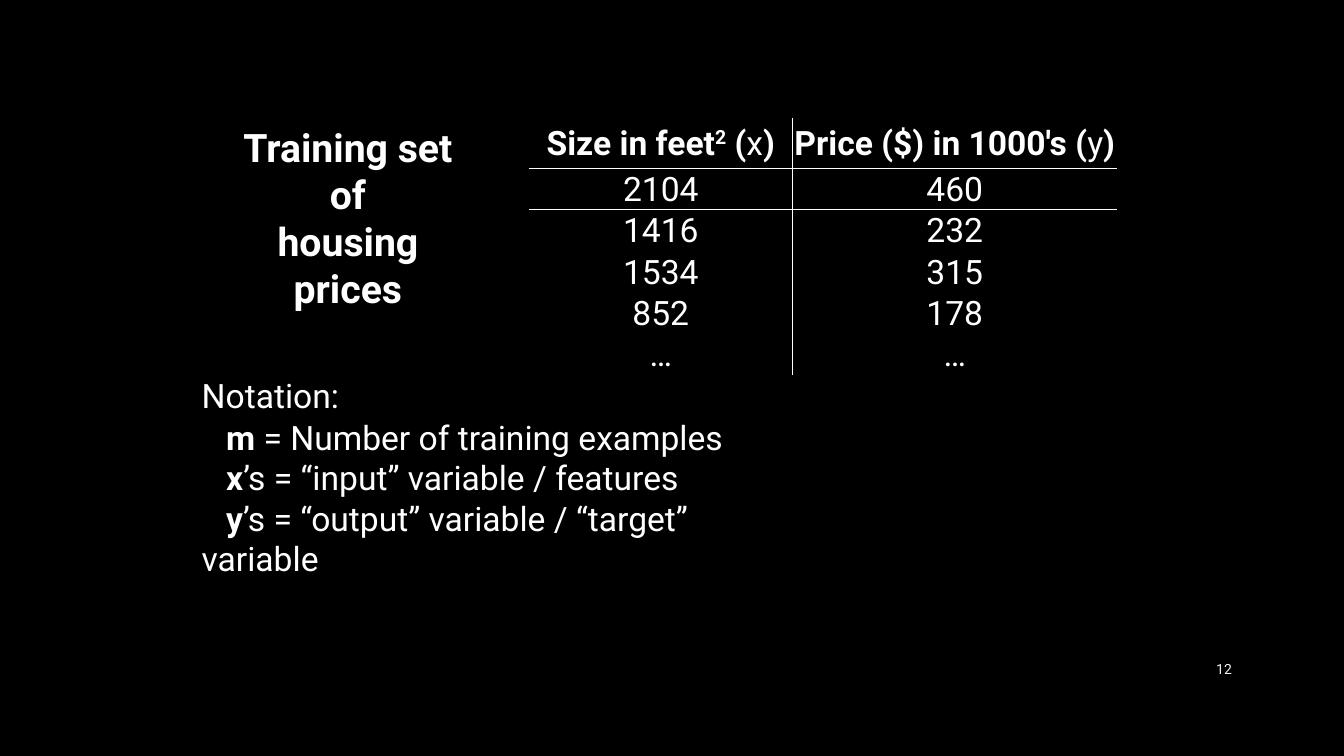
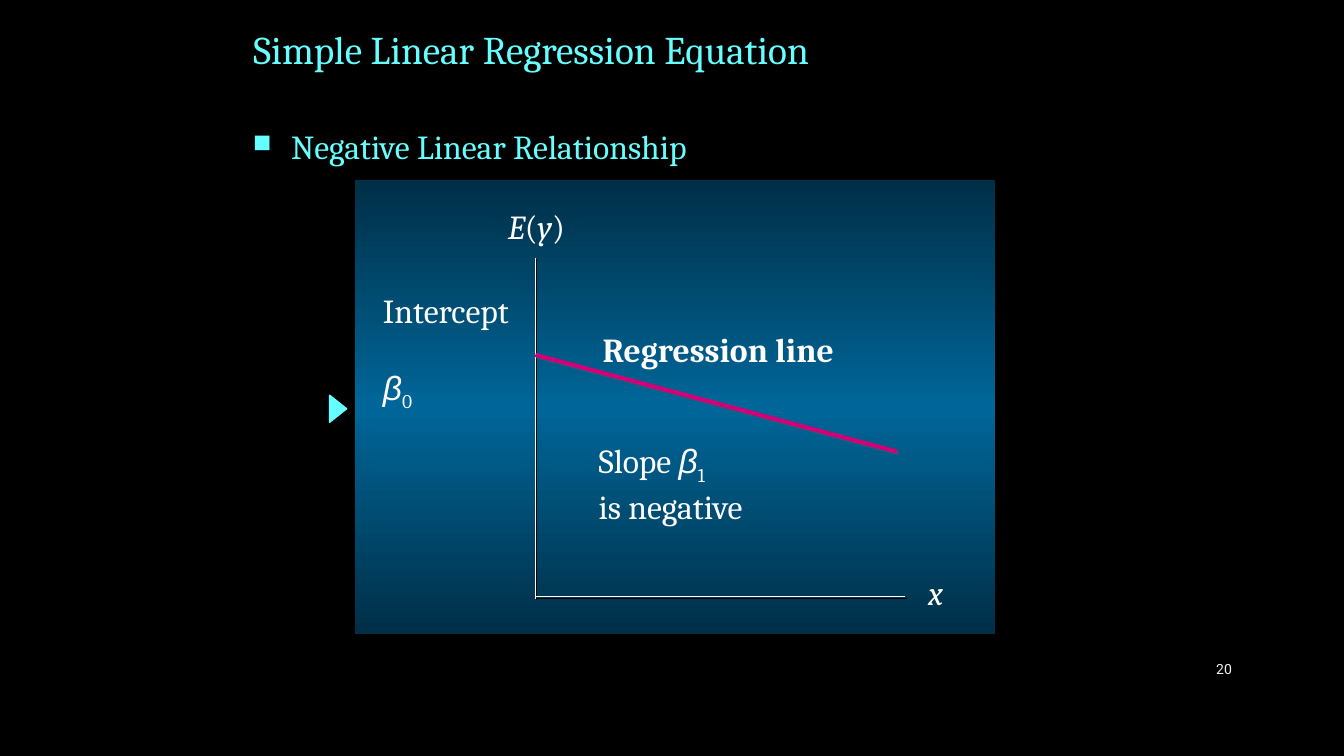
from copy import deepcopy

from lxml import etree
from pptx import Presentation
from pptx import util as u
from pptx.dml import color
from pptx.enum import shapes, text
from pptx.oxml import ns

Pt = u.Pt
WHITE, BLACK, CYAN, PALE = "FFFFFF", "000000", "66FFFF", "F2F2F2"
MAGENTA, SLATE = "D20078", "335B74"
PANEL_EDGE, PANEL_MIDDLE = "002F47", "006699"
SANS, SERIF, SYMBOL = "Roboto", "Cambria", "Arial"
LEFT, CENTER, RIGHT = text.PP_ALIGN.LEFT, text.PP_ALIGN.CENTER, text.PP_ALIGN.RIGHT
TOP, MIDDLE, BOTTOM = text.MSO_ANCHOR.TOP, text.MSO_ANCHOR.MIDDLE, text.MSO_ANCHOR.BOTTOM
BOLD, ITALIC = {"bold": True}, {"italic": True}
SUPER, SUB = {"baseline": 30}, {"baseline": -25}
BETA = ("β", {"font": SYMBOL, "italic": True})


def rgb(value):
    return color.RGBColor.from_string(value)


def add_xml(parent, tag, **attributes):
    return etree.SubElement(parent, ns.qn(tag), attributes)


def add_color(parent, value):
    add_xml(parent, "a:srgbClr", val=value)


def add_run(paragraph, words, size, font, ink, bold=False, italic=False, baseline=0):
    run = paragraph.add_run()
    run.text = words
    run.font.size = Pt(size)
    run.font.name = font
    run.font.bold = bold
    run.font.italic = italic
    run.font.color.rgb = rgb(ink)
    if baseline:
        run.font._element.set("baseline", str(baseline * 1000))


def write(frame, lines, size, font, ink=WHITE, align=LEFT):
    for index, line in enumerate(lines):
        paragraph = frame.paragraphs[0] if index == 0 else frame.add_paragraph()
        paragraph.alignment = align
        for words, style in line:
            add_run(paragraph, words, **{"size": size, "font": font, "ink": ink, **style})


def add_text(slide, box, lines, size=24, font=SERIF, ink=WHITE, align=LEFT, anchor=TOP):
    frame = slide.shapes.add_textbox(*map(Pt, box)).text_frame
    frame.word_wrap = True
    frame.vertical_anchor = anchor
    write(frame, lines, size, font, ink, align)
    return frame


def add_line(slide, start, end, ink, width, shadow_ink):
    line = slide.shapes.add_connector(
        shapes.MSO_CONNECTOR.STRAIGHT, *map(Pt, (*start, *end)))
    line.line.color.rgb = rgb(ink)
    line.line.width = Pt(width)
    effects = add_xml(line._element.spPr, "a:effectLst")
    shadow = add_xml(effects, "a:outerShdw", dist=str(Pt(1.4)), dir="2700000")
    add_color(shadow, shadow_ink)


def new_slide(deck, number):
    slide = deck.slides.add_slide(deck.slide_layouts[6])
    slide.background.fill.solid()
    slide.background.fill.fore_color.rgb = rgb(BLACK)
    add_text(slide, (828, 463, 59, 29), [[(number, {})]], 10, SANS, PALE, RIGHT, MIDDLE)
    return slide


def set_borders(cell, visible):
    properties = cell._tc.get_or_add_tcPr()
    for index, side in enumerate("LRTB"):
        border = etree.Element(ns.qn("a:ln" + side), w=str(Pt(1)))
        if side in visible:
            add_color(add_xml(border, "a:solidFill"), WHITE)
        else:
            add_xml(border, "a:noFill")
        properties.insert(index, border)


def add_price_table(slide, box):
    rows = [
        ([("Size in feet", BOLD), ("2", {**BOLD, **SUPER}), (" (", BOLD), ("x", {}), (")", BOLD)],
         [("Price ($) in 1000's (", BOLD), ("y", {}), (")", BOLD)]),
    ]
    samples = [("2104", "460"), ("1416", "232"), ("1534", "315"), ("852", "178"), ("…", "…")]
    rows += [tuple([(value, {})] for value in sample) for sample in samples]
    left, top, width, height = box
    header_height, size_width = 36, 188
    table = slide.shapes.add_table(len(rows), 2, *map(Pt, box)).table
    table.first_row = table.horz_banding = False
    table.columns[0].width = Pt(size_width)
    table.columns[1].width = Pt(width - size_width)
    for r, row in enumerate(rows):
        table.rows[r].height = Pt(
            (height - header_height) / len(samples) if r else header_height)
        for c, runs in enumerate(row):
            cell = table.cell(r, c)
            cell.margin_left = cell.margin_right = cell.margin_top = Pt(0.72)
            cell.margin_bottom = 0
            cell.vertical_anchor = BOTTOM if r else MIDDLE
            cell.fill.background()
            write(cell.text_frame, [runs], 24, SANS, align=CENTER)
            set_borders(cell, "RL"[c] + ("B" if r < 2 else "") + ("T" if r in (1, 2) else ""))


def add_notation(slide, box):
    frame = add_text(slide, box, [
        [("Notation:", {})],
        [("m", BOLD), (" = Number of training examples", {})],
        [("x", BOLD), ("’s = “input” variable / features", {})],
        [("y", BOLD), ("’s = “output” variable / “target” variable", {})],
    ], font=SANS)
    frame.paragraphs[0].space_after = Pt(1.5)
    for definition in frame.paragraphs[1:]:
        definition._p.get_or_add_pPr().set("indent", str(Pt(17.5)))


def add_bullet(slide, box, words):
    frame = add_text(slide, box, [[(words, {})]], ink=CYAN)
    paragraph = frame.paragraphs[0]
    paragraph.space_before = Pt(5)
    properties = paragraph._p.get_or_add_pPr()
    properties.set("marL", str(Pt(27.4)))
    properties.set("indent", str(-Pt(27.4)))
    add_color(add_xml(properties, "a:buClr"), CYAN)
    add_xml(properties, "a:buSzPct", val="75000")
    add_xml(properties, "a:buChar", char="■")


def add_panel(slide, box):
    panel = slide.shapes.add_shape(shapes.MSO_SHAPE.RECTANGLE, *map(Pt, box))
    panel.shadow.inherit = False
    panel.line.fill.background()
    panel.fill.gradient()
    panel.fill.gradient_angle = 90
    stop_list = panel._element.spPr.find(".//" + ns.qn("a:gsLst"))
    stop_list.append(deepcopy(stop_list[0]))
    edges = (PANEL_EDGE, PANEL_MIDDLE, PANEL_EDGE)
    for index, (stop, ink) in enumerate(zip(panel.fill.gradient_stops, edges)):
        stop.position = index / 2
        stop.color.rgb = rgb(ink)


def add_regression_diagram(slide, box):
    left, top = box[:2]

    def at(x, y):
        return left + x, top + y

    def label(x, y, width, height, lines):
        return add_text(slide, (*at(x, y), width, height), lines)

    add_panel(slide, box)
    axis_x, axis_y = 129, 297.4
    add_line(slide, at(axis_x, 55.4), at(axis_x, axis_y + 1.4), WHITE, 0.5, BLACK)
    add_line(slide, at(393.2, axis_y), at(axis_x, axis_y), WHITE, 0.5, BLACK)
    add_line(slide, at(axis_x, 124.6), at(387.4, 193.7), MAGENTA, 3, SLATE)
    label(102.3, 14.4, 60, 36, [[("E", ITALIC), ("(", {}), ("y", ITALIC), (")", {})]])
    label(402.5, 275.8, 30, 36, [[("x", ITALIC)]])
    label(167.1, 182.1, 130, 66, [[("Slope ", {}), BETA, ("1", SUB)], [("is negative", {})]])
    label(170, 102.2, 186, 36, [[("Regression line", BOLD)]])
    intercept = label(13, 74.9, 115, 66, [[("Intercept", {})], [BETA, ("0", SUB)]])
    intercept.paragraphs[1].space_before = Pt(26)

    pointer = slide.shapes.add_shape(
        shapes.MSO_SHAPE.ISOSCELES_TRIANGLE, *map(Pt, (*at(-21.6, 157), 19.4, 12.2)))
    pointer.rotation = 90
    pointer.shadow.inherit = False
    pointer.fill.solid()
    pointer.fill.fore_color.rgb = rgb(CYAN)
    pointer.line.color.rgb = rgb(CYAN)
    pointer.line.width = Pt(1)


def build_training_slide(deck):
    slide = new_slide(deck, "12")
    add_notation(slide, (137, 264, 434, 125))
    add_price_table(slide, (378, 84.2, 420, 183.5))
    add_text(slide, (157, 84.2, 183, 109),
             [[("Training set of", BOLD)], [("housing prices", BOLD)]], 28, SANS, align=CENTER)


def build_regression_slide(deck):
    slide = new_slide(deck, "20")
    add_text(slide, (174, 3, 612, 64), [[("Simple Linear Regression Equation", {})]],
             28, ink=CYAN, anchor=MIDDLE)
    add_bullet(slide, (173.5, 86.4, 393, 49), "Negative Linear Relationship")
    add_regression_diagram(slide, (253.4, 128.9, 457.2, 324))


def main():
    deck = Presentation()
    deck.slide_width, deck.slide_height = Pt(960), Pt(540)
    build_training_slide(deck)
    build_regression_slide(deck)
    deck.save("out.pptx")


if __name__ == "__main__":
    main()
